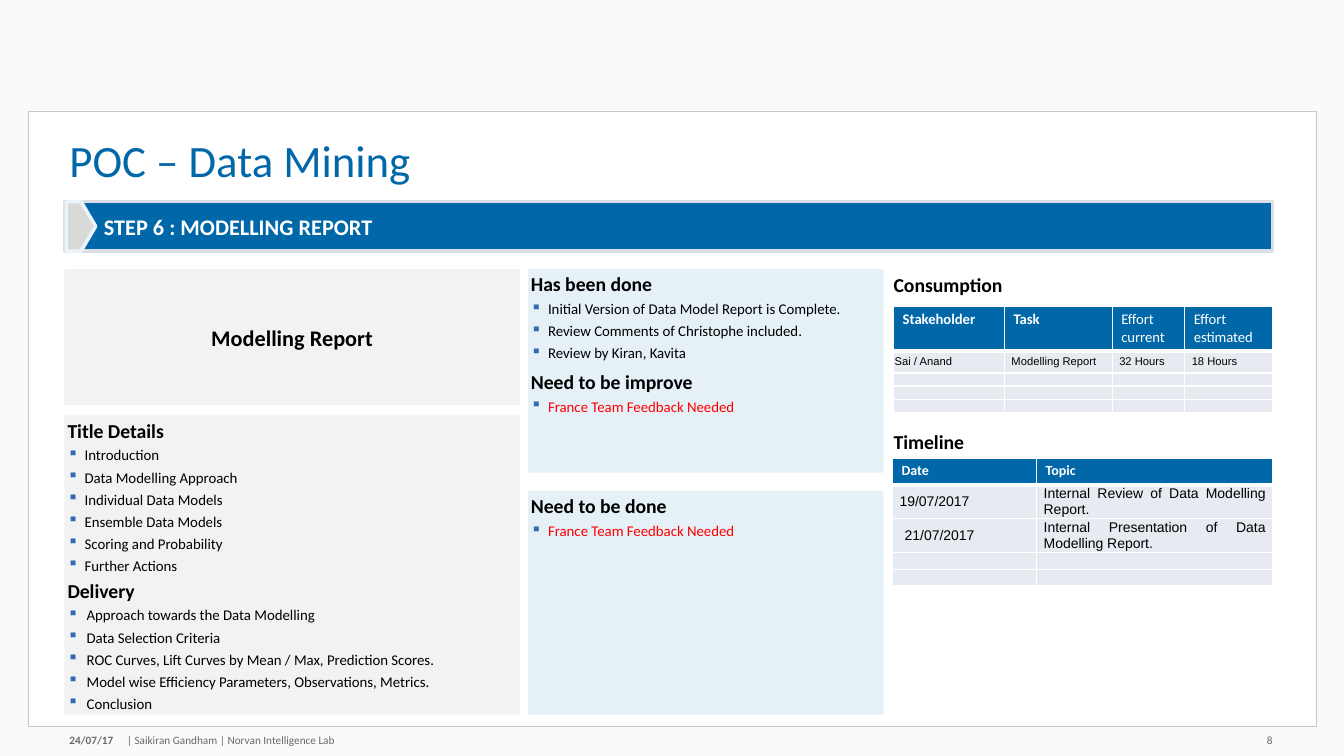
from lxml.etree import SubElement
from pptx import Presentation
from pptx.dml.color import RGBColor
from pptx.enum.shapes import MSO_SHAPE
from pptx.enum.text import MSO_ANCHOR, PP_ALIGN
from pptx.oxml.ns import qn
from pptx.util import Inches, Pt

BACKGROUND = RGBColor(0xFA, 0xFA, 0xFA)
WHITE = RGBColor(0xFF, 0xFF, 0xFF)
BLACK = RGBColor(0, 0, 0)
RED = RGBColor(0xFF, 0, 0)
BLUE = RGBColor(0, 0x68, 0xA9)
BULLET = RGBColor(0x31, 0x6A, 0xB0)
PALE_BLUE = RGBColor(0xE5, 0xF1, 0xF7)
PALE_GRAY = RGBColor(0xF2, 0xF2, 0xF2)
ARROW_GRAY = RGBColor(0xD9, 0xD9, 0xD9)
ROW_GRAY = RGBColor(0xE7, 0xEB, 0xF1)
FOOTER_GRAY = RGBColor(0x68, 0x68, 0x68)
FRAME_LINE = RGBColor(0xBF, 0xC9, 0xD2)
BAR_LINE = RGBColor(0xD9, 0xDF, 0xE4)
ARROW_LINE = RGBColor(0xED, 0xF4, 0xF9)

FEEDBACK = "France Team Feedback Needed"


def add_run(p, text, size, color=BLACK, bold=False, font="Calibri"):
    r = p.add_run()
    r.text = text
    r.font.name = font
    r.font.size = Pt(size)
    r.font.bold = bold
    r.font.color.rgb = color


def set_frame(tf, margin, anchor):
    tf.word_wrap = True
    tf.vertical_anchor = anchor
    tf.margin_left = tf.margin_right = Inches(margin)
    tf.margin_top = tf.margin_bottom = Inches(margin)


def add_box(s, box, fill, line=None, width=0, preset=MSO_SHAPE.RECTANGLE,
            anchor=MSO_ANCHOR.TOP):
    sp = s.shapes.add_shape(preset, *map(Inches, box))
    sp.shadow.inherit = False
    sp.fill.solid()
    sp.fill.fore_color.rgb = fill
    if line is None:
        sp.line.fill.background()
    else:
        sp.line.color.rgb = line
        sp.line.width = Pt(width)
    set_frame(sp.text_frame, 0.03, anchor)
    p = sp.text_frame.paragraphs[0]
    p.alignment = PP_ALIGN.LEFT
    return sp


def add_label(s, box, text, size, color=BLACK, bold=False,
              align=PP_ALIGN.LEFT, anchor=MSO_ANCHOR.MIDDLE):
    tf = s.shapes.add_textbox(*map(Inches, box)).text_frame
    set_frame(tf, 0, anchor)
    p = tf.paragraphs[0]
    p.alignment = align
    add_run(p, text, size, color, bold)
    return p


def set_bullet(p, indent):
    pPr = p._p.get_or_add_pPr()
    pPr.set("marL", str(Inches(indent)))
    pPr.set("indent", str(-Inches(indent)))
    color = SubElement(pPr, qn("a:buClr"))
    SubElement(color, qn("a:srgbClr"), val=str(BULLET))
    SubElement(pPr, qn("a:buChar"), char="▪")


def add_panel(s, box, fill, sections):
    """Each section is heading, space before, bullet indent, colour, items."""
    tf = add_box(s, box, fill).text_frame
    for i, (heading, space, indent, color, items) in enumerate(sections):
        p = tf.add_paragraph() if i else tf.paragraphs[0]
        p.alignment = PP_ALIGN.LEFT
        if i:
            p.space_before = Pt(space)
        add_run(p, heading, 14.1, bold=True)
        for item in items:
            p = tf.add_paragraph()
            p.alignment = PP_ALIGN.LEFT
            p.space_before = Pt(3)
            set_bullet(p, indent)
            add_run(p, item, 10.6, color)


def style_cell(cell, row):
    tcPr = cell._tc.get_or_add_tcPr()
    thick = {0: "a:lnB", 1: "a:lnT"}.get(row)
    for side in ("a:lnL", "a:lnR", "a:lnT", "a:lnB"):
        ln = SubElement(tcPr, qn(side), w=str(Pt(3 if side == thick else 1)))
        SubElement(SubElement(ln, qn("a:solidFill")), qn("a:srgbClr"), val=str(WHITE))
    cell.fill.solid()
    cell.fill.fore_color.rgb = ROW_GRAY if row else BLUE
    side, edge = (0.07, 0) if row else (0.09, 0.04)
    cell.margin_left = cell.margin_right = Inches(side)
    cell.margin_top = cell.margin_bottom = Inches(edge)
    cell.vertical_anchor = MSO_ANCHOR.MIDDLE if row else MSO_ANCHOR.TOP


def add_grid(s, left, top, widths, heights, rows, head_size, body_size, bold_heads):
    table = s.shapes.add_table(len(heights), len(widths), Inches(left), Inches(top),
                               Inches(sum(widths)), Inches(sum(heights))).table
    table.horz_banding = False
    for column, width in zip(table.columns, widths):
        column.width = Inches(width)
    for i, height in enumerate(heights):
        table.rows[i].height = Inches(height)
        for j in range(len(widths)):
            cell = table.cell(i, j)
            style_cell(cell, i)
            p = cell.text_frame.paragraphs[0]
            if i >= len(rows):
                SubElement(p._p, qn("a:endParaRPr"), sz="600")
            elif i == 0:
                add_run(p, rows[i][j], head_size, WHITE, j < bold_heads)
            else:
                p.alignment = PP_ALIGN.JUSTIFY
                add_run(p, rows[i][j], body_size, font="Arial")
    return table


def main():
    prs = Presentation()
    prs.slide_width, prs.slide_height = Inches(13.34), Inches(7.5)
    s = prs.slides.add_slide(prs.slide_layouts[6])
    s.background.fill.solid()
    s.background.fill.fore_color.rgb = BACKGROUND

    # Frame, title and footer
    add_box(s, (0.28, 1.1, 12.78, 6.1), WHITE, FRAME_LINE, 0.25)
    title = add_label(s, (0.69, 1.38, 12.36, 0.48), "POC – Data Mining", 32, BLUE,
                      anchor=MSO_ANCHOR.TOP)
    title.line_spacing = 0.9
    add_label(s, (0.69, 7.28, 0.56, 0.13), "24/07/17", 8, FOOTER_GRAY, True)
    add_label(s, (1.26, 7.28, 4.67, 0.13),
              "| Saikiran Gandham | Norvan Intelligence Lab", 8, FOOTER_GRAY)
    add_label(s, (11.84, 7.28, 0.79, 0.13), "8", 8, FOOTER_GRAY, align=PP_ALIGN.RIGHT)

    # Step bar
    bar = add_box(s, (0.64, 2, 11.99, 0.49), BLUE, BAR_LINE, 2.5,
                  anchor=MSO_ANCHOR.MIDDLE)
    bar.text_frame.margin_left = Inches(0.39)
    add_run(bar.text_frame.paragraphs[0], "STEP 6 : MODELLING REPORT", 15.9, WHITE, True)
    add_box(s, (0.66, 2, 0.29, 0.49), ARROW_GRAY, ARROW_LINE, 2.5, MSO_SHAPE.PENTAGON)

    # Left column
    report = add_box(s, (0.64, 2.67, 4.52, 1.35), PALE_GRAY, anchor=MSO_ANCHOR.MIDDLE)
    p = report.text_frame.paragraphs[0]
    p.alignment = PP_ALIGN.CENTER
    add_run(p, "Modelling Report", 15.9, bold=True)
    add_panel(s, (0.64, 4.12, 4.52, 2.97), PALE_GRAY, [
        ("Title Details", 0, 0.17, BLACK, [
            "Introduction", "Data Modelling Approach", "Individual Data Models",
            "Ensemble Data Models", "Scoring and Probability", "Further Actions"]),
        ("Delivery", 3, 0.19, BLACK, [
            "Approach towards the Data Modelling", "Data Selection Criteria",
            "ROC Curves, Lift Curves by Mean / Max, Prediction Scores.",
            "Model wise Efficiency Parameters, Observations, Metrics.", "Conclusion"]),
    ])

    # Middle column
    add_panel(s, (5.24, 2.67, 3.53, 2.02), PALE_BLUE, [
        ("Has been done", 0, 0.17, BLACK, [
            "Initial Version of Data Model Report is Complete.",
            "Review Comments of Christophe included.", "Review by Kiran, Kavita"]),
        ("Need to be improve", 5.3, 0.17, RED, [FEEDBACK]),
    ])
    add_panel(s, (5.24, 4.87, 3.53, 2.22), PALE_BLUE,
              [("Need to be done", 0, 0.17, RED, [FEEDBACK])])

    # Right column
    add_label(s, (8.87, 2.7, 3.3, 0.24), "Consumption", 14.1, bold=True)
    consumption = add_grid(
        s, 8.87, 3.04, [1.1, 1.07, 0.72, 0.87], [0.44, 0.22, 0.13, 0.13, 0.13],
        [["Stakeholder", "Task", "Effort current", "Effort estimated"],
         ["Sai / Anand", "Modelling Report", "32 Hours", "18 Hours"]],
        10.5, 8, bold_heads=2)
    consumption.cell(1, 0).margin_left = Inches(0.01)
    add_label(s, (8.87, 4.26, 3.3, 0.24), "Timeline", 14.1, bold=True)
    timeline = add_grid(
        s, 8.86, 4.55, [1.43, 2.34], [0.26, 0.31, 0.31, 0.17, 0.16],
        [["Date", "Topic"],
         ["19/07/2017", "Internal Review of Data Modelling Report."],
         ["21/07/2017", "Internal Presentation of Data Modelling Report."]],
        10, 10, bold_heads=2)
    timeline.cell(2, 0).margin_left = Inches(0.12)

    prs.save("out.pptx")


if __name__ == "__main__":
    main()
